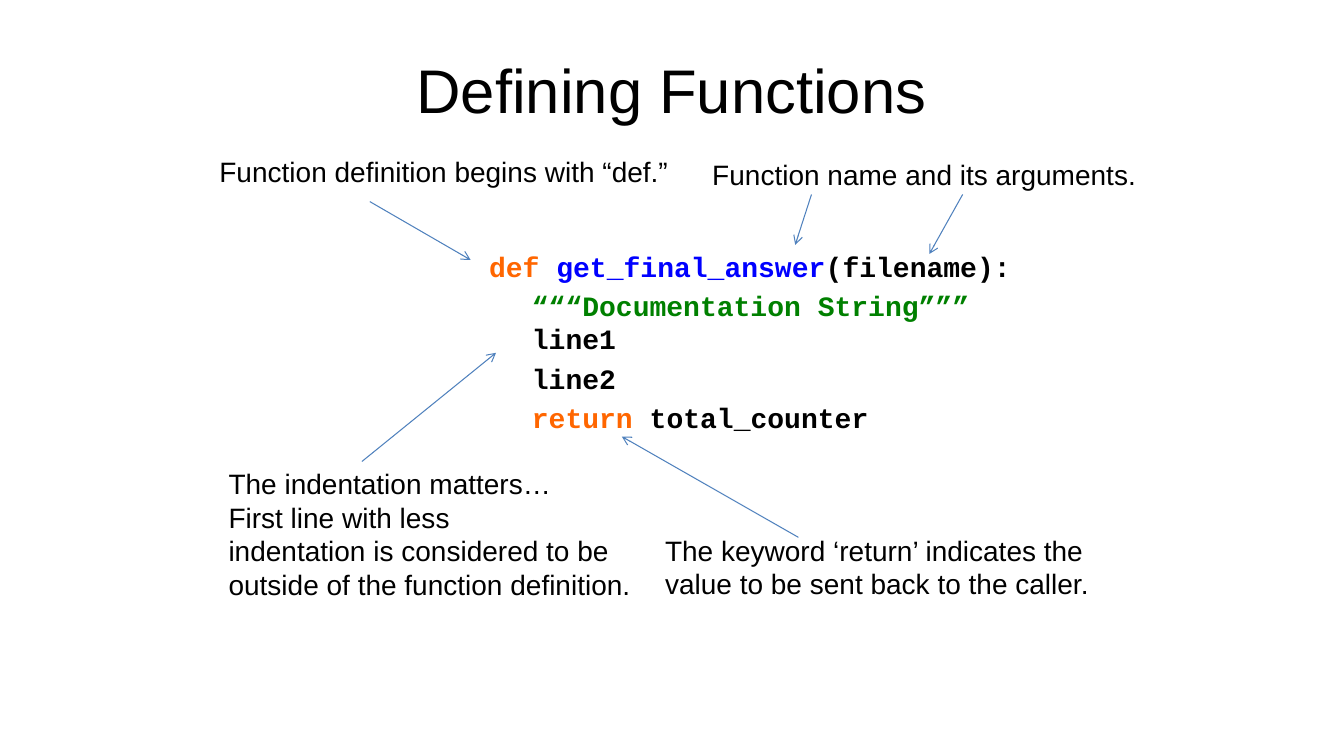
"""Build a slide that explains the parts of a Python function definition."""
from lxml.etree import SubElement
from pptx import Presentation
from pptx.dml.color import RGBColor
from pptx.enum.shapes import MSO_CONNECTOR
from pptx.enum.text import MSO_ANCHOR, MSO_AUTO_SIZE, PP_ALIGN
from pptx.oxml.ns import qn
from pptx.util import Cm, Pt

BLACK = RGBColor(0x00, 0x00, 0x00)
ORANGE = RGBColor(0xFF, 0x66, 0x00)
BLUE = RGBColor(0x00, 0x00, 0xFF)
GREEN = RGBColor(0x00, 0x80, 0x00)
STEEL = RGBColor(0x4F, 0x81, 0xBD)

HEAD = {"name": "Arial", "size": Pt(44)}
NOTE = {"name": "Arial", "size": Pt(20)}
CODE = {"name": "Courier New", "size": Pt(20), "bold": True}


def style(run, form, color=BLACK):
    for key, value in form.items():
        setattr(run.font, key, value)
    run.font.color.rgb = color


def place(shape, left, top, width, height):
    sides = {"left": left, "top": top, "width": width, "height": height}
    for key, value in sides.items():
        setattr(shape, key, Cm(value))


deck = Presentation()
deck.slide_width, deck.slide_height = Cm(33.87), Cm(19.05)
slide = deck.slides.add_slide(deck.slide_layouts[1])

title = slide.shapes.title
place(title, 1.69, 0.76, 30.48, 3.18)
frame = title.text_frame
frame.text = "Defining Functions"
setup = {"margin_left": 0, "margin_right": 0, "margin_top": 0, "margin_bottom": 0,
         "vertical_anchor": MSO_ANCHOR.MIDDLE, "auto_size": MSO_AUTO_SIZE.NONE}
for key, value in setup.items():
    setattr(frame, key, value)
para = frame.paragraphs[0]
para.alignment, para.line_spacing = PP_ALIGN.CENTER, 0.9
style(para.runs[0], HEAD)

lines = [
    (2.54, 4, [("def ", ORANGE), ("get_final_answer", BLUE), ("(filename):", BLACK)]),
    (3.62, 4, [("“““Documentation String”””", GREEN)]),
    (3.62, 0, [("line1", BLACK)]),
    (3.62, 4, [("line2", BLACK)]),
    (3.62, 4, [("return ", ORANGE), ("total_counter", BLACK)]),
]
body = slide.placeholders[1]
place(body, 9.53, 6.15, 17.98, 3.81)
frame = body.text_frame
frame.auto_size = MSO_AUTO_SIZE.NONE
for row, (indent, gap, parts) in enumerate(lines):
    para = frame.add_paragraph() if row else frame.paragraphs[0]
    para.space_before = Pt(gap)
    props = para._p.get_or_add_pPr()
    props.set("marL", str(Cm(indent)))
    props.set("indent", "0")
    SubElement(props, qn("a:buNone"))
    for text, color in parts:
        run = para.add_run()
        run.text = text
        style(run, CODE, color)

notes = [
    (17.7, 3.84, 11.28, 1.12, "Function name and its arguments."),
    (5.28, 3.78, 12.17, 1.12, "Function definition begins with “def.”"),
    (16.51, 13.31, 11.76, 1.96,
     "The keyword ‘return’ indicates the\nvalue to be sent back to the caller."),
    (5.51, 11.63, 10.72, 3.68,
     "The indentation matters…\nFirst line with less\n"
     "indentation is considered to be\noutside of the function definition."),
]
for *spot, text in notes:
    box = slide.shapes.add_textbox(*map(Cm, spot))
    box.text_frame.word_wrap = False
    box.text_frame.text = text
    for para in box.text_frame.paragraphs:
        style(para.runs[0], NOTE)

arrows = [
    (20.45, 4.9, 20.04, 6.17),
    (24.26, 4.9, 23.42, 6.4),
    (9.32, 5.08, 11.86, 6.55),
    (20.12, 13.54, 15.67, 11),
    (9.12, 11.63, 12.5, 8.89),
]
for ends in arrows:
    arrow = slide.shapes.add_connector(MSO_CONNECTOR.STRAIGHT, *map(Cm, ends))
    arrow.line.color.rgb = STEEL
    arrow.line.width = Pt(0.75)
    SubElement(arrow.line._get_or_add_ln(), qn("a:tailEnd"), type="arrow")
    SubElement(arrow._element.spPr, qn("a:effectLst"))

deck.save("out.pptx")
